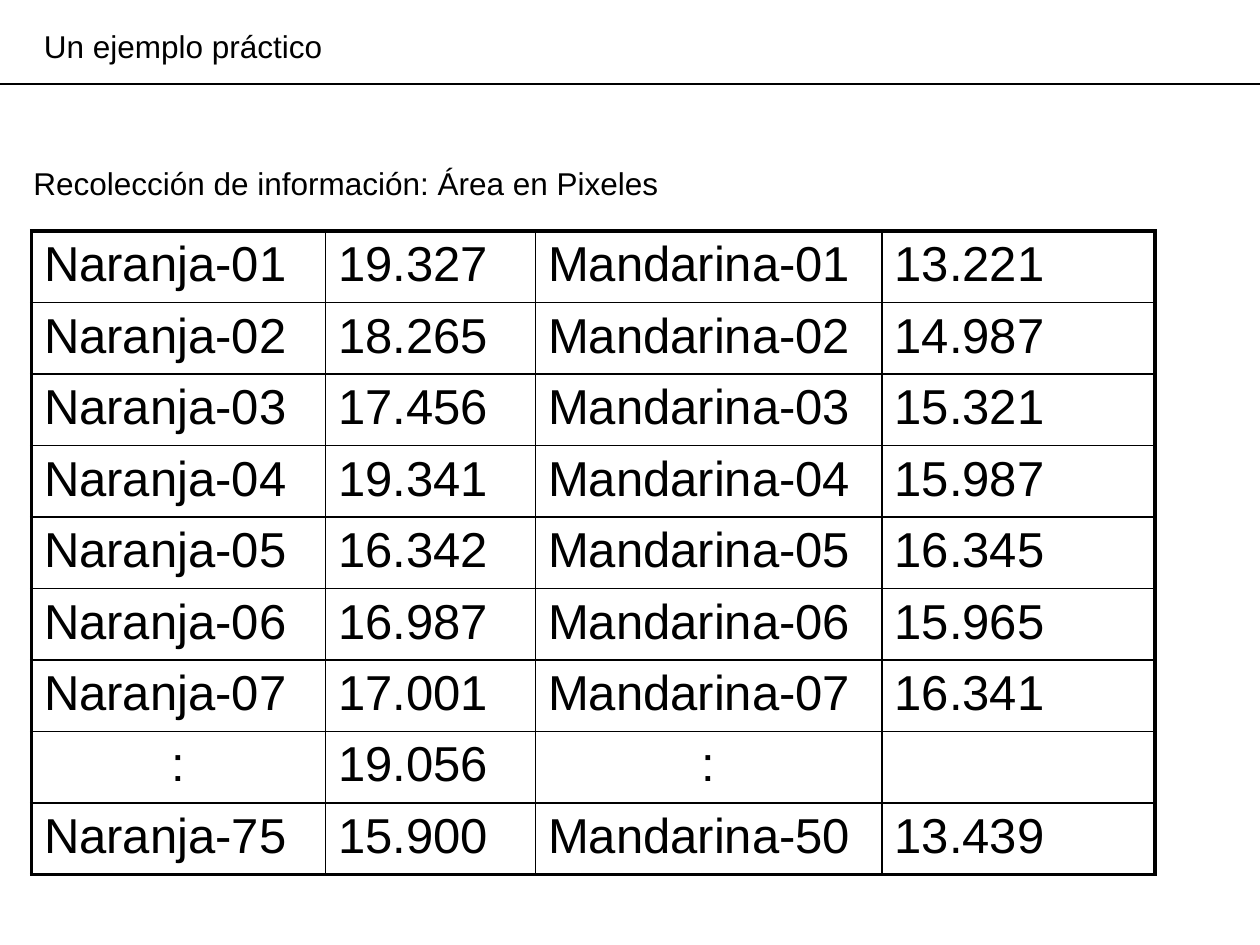
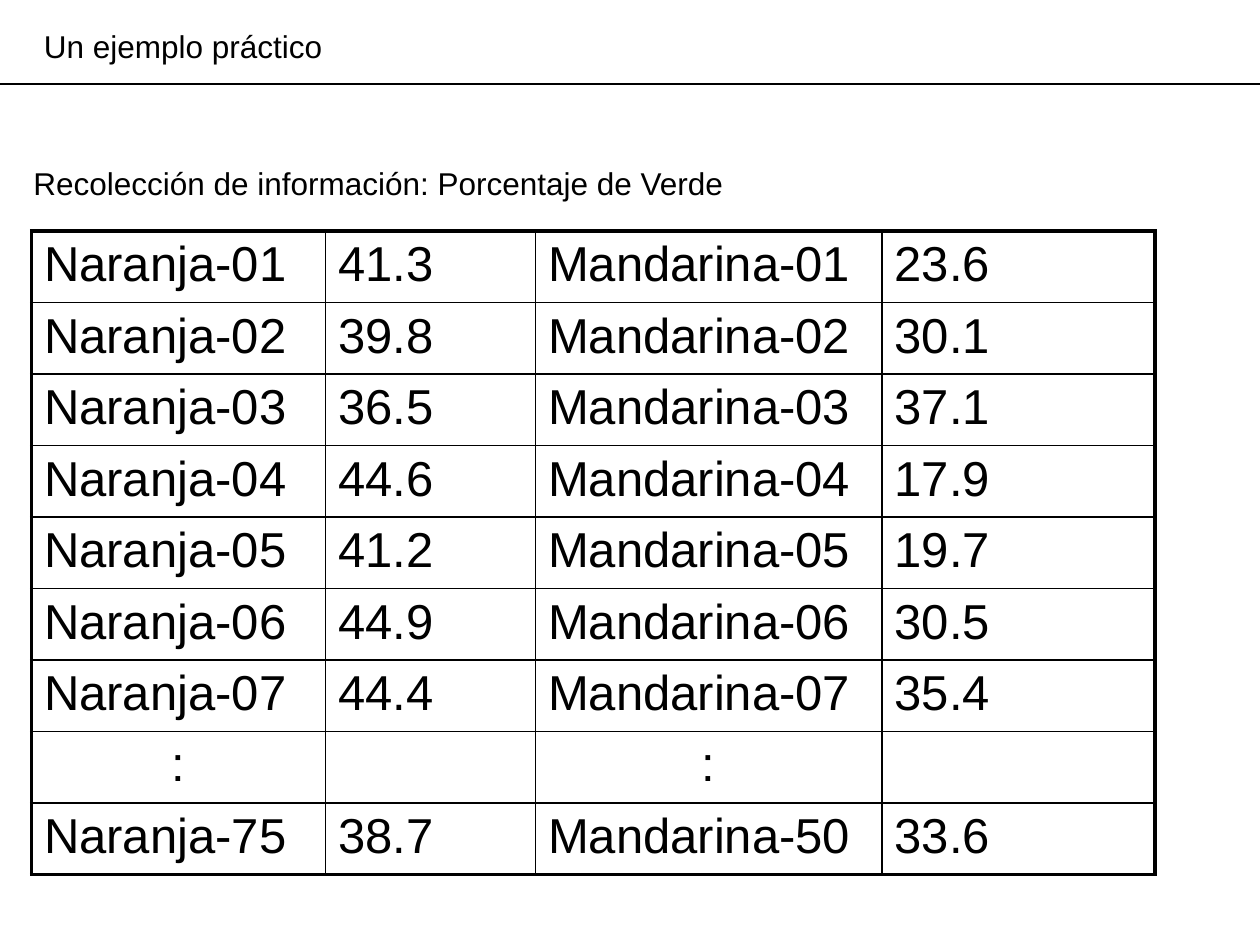
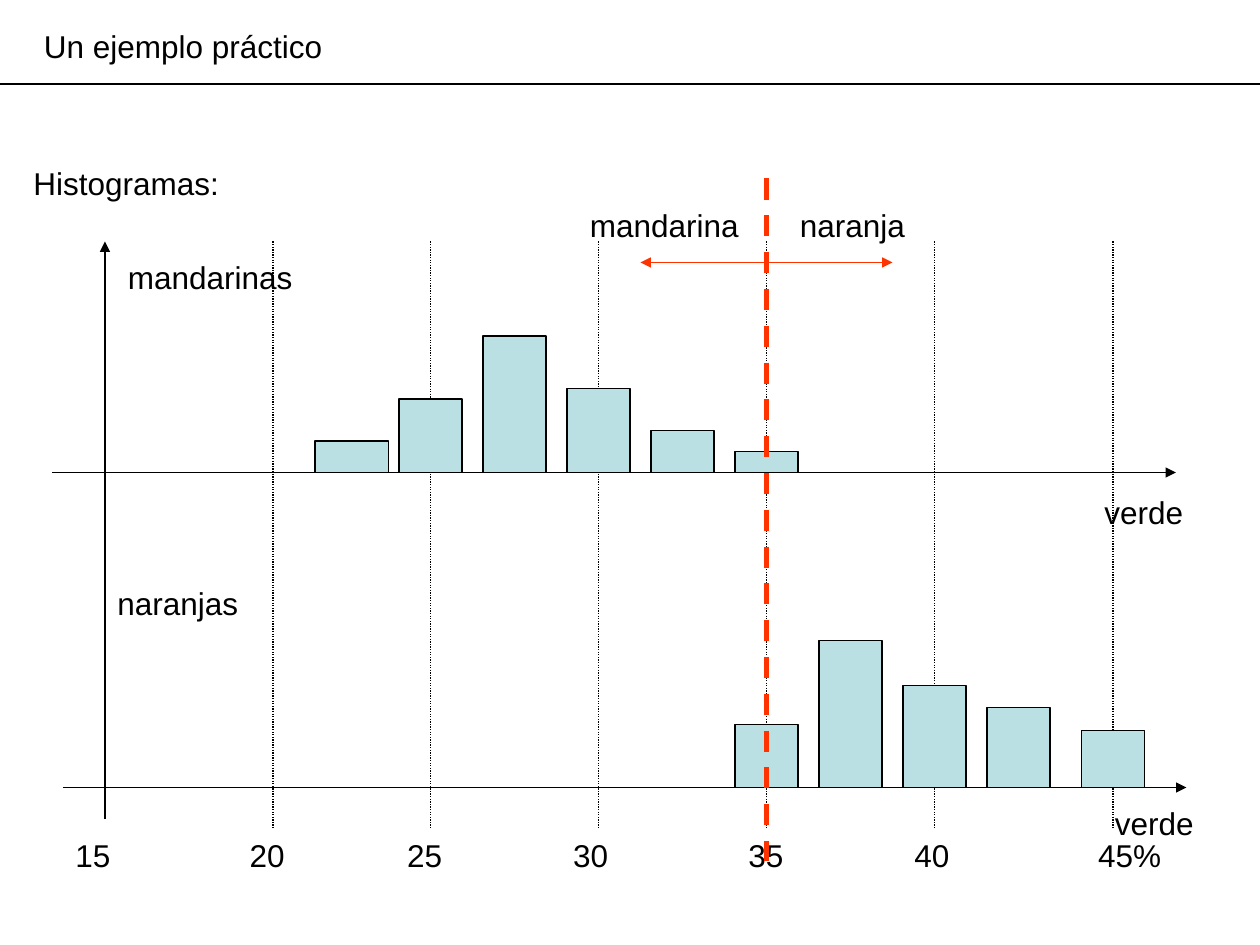
from dataclasses import dataclass

from lxml import etree
from pptx import Presentation, util as u
from pptx.dml import color
from pptx.enum import dml, shapes, text
from pptx.oxml import ns


@dataclass(frozen=True)
class Theme:
    font: str = "Arial"
    ink: str = "000000"
    bar: str = "BBE0E3"
    accent: str = "FF3300"
    body_size: int = 18
    table_size: int = 28
    thin: float = 0.75
    inner_border: float = 1
    outer_border: float = 2.25
    thick: float = 3


THEME = Theme()
SLIDE_WIDTH, SLIDE_HEIGHT = u.Inches(10), u.Inches(7.5)
GRID_COLUMNS, GRID_ROWS = 120, 90
LABEL_HEIGHT = 4.8
TABLE_COLUMNS = (28, 20, 33, 26)
TABLE_ROW = 6.8
FRUIT_NUMBERS = (
    *((f"Naranja-0{i}", f"Mandarina-0{i}") for i in range(1, 8)),
    (":", ":"),
    ("Naranja-75", "Mandarina-50"),
)
AREAS = (
    ("19.327", "18.265", "17.456", "19.341", "16.342", "16.987", "17.001", "19.056", "15.900"),
    ("13.221", "14.987", "15.321", "15.987", "16.345", "15.965", "16.341", "", "13.439"),
)
GREEN_SHARES = (
    ("41.3", "39.8", "36.5", "44.6", "41.2", "44.9", "44.4", "", "38.7"),
    ("23.6", "30.1", "37.1", "17.9", "19.7", "30.5", "35.4", "", "33.6"),
)
AXIS_VALUES = ("15", "20", "25", "30", "35", "40", "45%")
AXIS_TABS = (16.6, 31.6, 47.4, 64.1, 79.9, 97.4)
GUIDE_COLUMNS = (26, 41, 57, 73, 89, 106)
THRESHOLD = 73
MANDARIN_BASE, ORANGE_BASE = 45, 75
MANDARIN_BARS = ((30, 7, 3), (38, 6, 7), (46, 6, 13), (54, 6, 8), (62, 6, 4), (70, 6, 2))
ORANGE_BARS = ((70, 6, 6), (78, 6, 14), (86, 6, 9.7), (94, 6, 7.6), (103, 6, 5.4))


def across(columns):
    return round(SLIDE_WIDTH * columns / GRID_COLUMNS)


def down(rows):
    return round(SLIDE_HEIGHT * rows / GRID_ROWS)


def rgb(value):
    return color.RGBColor.from_string(value)


def add_element(parent, tag, **attributes):
    return etree.SubElement(parent, ns.qn(tag), attributes)


def write(frame, content, size=THEME.body_size, align=text.PP_ALIGN.LEFT, tabs=()):
    paragraph = frame.paragraphs[0]
    paragraph.alignment = align
    if tabs:
        tab_list = add_element(paragraph._p.get_or_add_pPr(), "a:tabLst")
        for tab in tabs:
            add_element(tab_list, "a:tab", pos=str(across(tab)), algn="l")
    run = paragraph.add_run()
    run.text = content
    run.font.name = THEME.font
    run.font.size = u.Pt(size)
    run.font.color.rgb = rgb(THEME.ink)


def add_label(slide, content, left, top, width, height=LABEL_HEIGHT, **text_format):
    box = slide.shapes.add_textbox(across(left), down(top), across(width), down(height))
    frame = box.text_frame
    frame.word_wrap = True
    frame.margin_right = 0
    write(frame, content, **text_format)


def add_line(slide, start, end, line_color=THEME.ink, width=THEME.thin, dash=None, arrow=False):
    connector = slide.shapes.add_connector(
        shapes.MSO_CONNECTOR.STRAIGHT,
        across(start[0]), down(start[1]), across(end[0]), down(end[1]),
    )
    connector.line.color.rgb = rgb(line_color)
    connector.line.width = u.Pt(width)
    if dash:
        connector.line.dash_style = dash
    properties = connector._element.spPr
    if arrow:
        add_element(properties.find(ns.qn("a:ln")), "a:tailEnd", type="triangle")
    add_element(properties, "a:effectLst")


def add_bars(slide, bars, base):
    for left, width, height in bars:
        bar = slide.shapes.add_shape(
            shapes.MSO_SHAPE.RECTANGLE,
            across(left), down(base - height), across(width), down(height),
        )
        bar.shadow.inherit = False
        bar.fill.solid()
        bar.fill.fore_color.rgb = rgb(THEME.bar)
        bar.line.color.rgb = rgb(THEME.ink)
        bar.line.width = u.Pt(THEME.thin)


def set_borders(cell, outer_sides):
    properties = cell._tc.get_or_add_tcPr()
    for index, side in enumerate("LRTB"):
        width = THEME.outer_border if side in outer_sides else THEME.inner_border
        border = etree.Element(ns.qn(f"a:ln{side}"), w=str(u.Pt(width)))
        add_element(add_element(border, "a:solidFill"), "a:srgbClr", val=THEME.ink)
        properties.insert(index, border)


def add_data_table(slide, rows):
    table = slide.shapes.add_table(
        len(rows), len(TABLE_COLUMNS), across(3), down(22),
        across(sum(TABLE_COLUMNS)), down(TABLE_ROW * len(rows)),
    ).table
    table.first_row = table.horz_banding = False
    for column, width in zip(table.columns, TABLE_COLUMNS):
        column.width = across(width)
    last_row, last_column = len(rows) - 1, len(TABLE_COLUMNS) - 1
    for r, values in enumerate(rows):
        table.rows[r].height = down(TABLE_ROW)
        for c, value in enumerate(values):
            cell = table.cell(r, c)
            cell.fill.background()
            edges = {"L": c == 0, "R": c == last_column, "T": r == 0, "B": r == last_row}
            set_borders(cell, [side for side, is_outer in edges.items() if is_outer])
            if value:
                align = text.PP_ALIGN.CENTER if value == ":" else text.PP_ALIGN.LEFT
                write(cell.text_frame, value, size=THEME.table_size, align=align)


def add_base_slide(presentation, heading, heading_width):
    slide = presentation.slides.add_slide(presentation.slide_layouts[6])
    add_label(slide, "Un ejemplo práctico", 3, 2, 29)
    add_label(slide, heading, 2, 15, heading_width, height=12)
    add_line(slide, (0, 8), (GRID_COLUMNS, 8))
    return slide


def add_table_slide(presentation, measure, heading_width, columns):
    slide = add_base_slide(presentation, f"Recolección de información: {measure}", heading_width)
    rows = [
        (orange, orange_value, mandarin, mandarin_value)
        for (orange, mandarin), orange_value, mandarin_value in zip(FRUIT_NUMBERS, *columns)
    ]
    add_data_table(slide, rows)


def add_histogram_slide(presentation):
    slide = add_base_slide(presentation, "Histogramas:", 20)
    add_line(slide, (10, 78), (10, 23), arrow=True)
    add_line(slide, (6, ORANGE_BASE), (113, ORANGE_BASE), arrow=True)
    add_line(slide, (5, MANDARIN_BASE), (112, MANDARIN_BASE), arrow=True)
    add_label(slide, "verde", 104, 46.4, 10)
    add_label(slide, "verde", 105, 76, 10)
    add_label(slide, "mandarinas", 11, 24, 18)
    add_label(slide, "naranjas", 10, 55, 14)
    for column in GUIDE_COLUMNS:
        add_line(slide, (column, 23), (column, 79), dash=dml.MSO_LINE.ROUND_DOT)
    add_label(slide, "\t".join(AXIS_VALUES), 6, 79, 106, tabs=AXIS_TABS)
    add_bars(slide, MANDARIN_BARS, MANDARIN_BASE)
    add_bars(slide, ORANGE_BARS, ORANGE_BASE)
    add_line(slide, (THRESHOLD, 17), (THRESHOLD, 82), line_color=THEME.accent,
             width=THEME.thick, dash=dml.MSO_LINE.DASH)
    for name, left, width, reach in (("naranja", 75, 12.4, 12), ("mandarina", 55, 16.6, -12)):
        add_label(slide, name, left, 19, width)
        add_line(slide, (THRESHOLD, 25), (THRESHOLD + reach, 25),
                 line_color=THEME.accent, arrow=True)


def main():
    presentation = Presentation()
    presentation.slide_width, presentation.slide_height = SLIDE_WIDTH, SLIDE_HEIGHT
    add_table_slide(presentation, "Área en Pixeles", 62.3, AREAS)
    add_table_slide(presentation, "Porcentaje de Verde", 68.8, GREEN_SHARES)
    add_histogram_slide(presentation)
    presentation.save("out.pptx")


if __name__ == "__main__":
    main()
